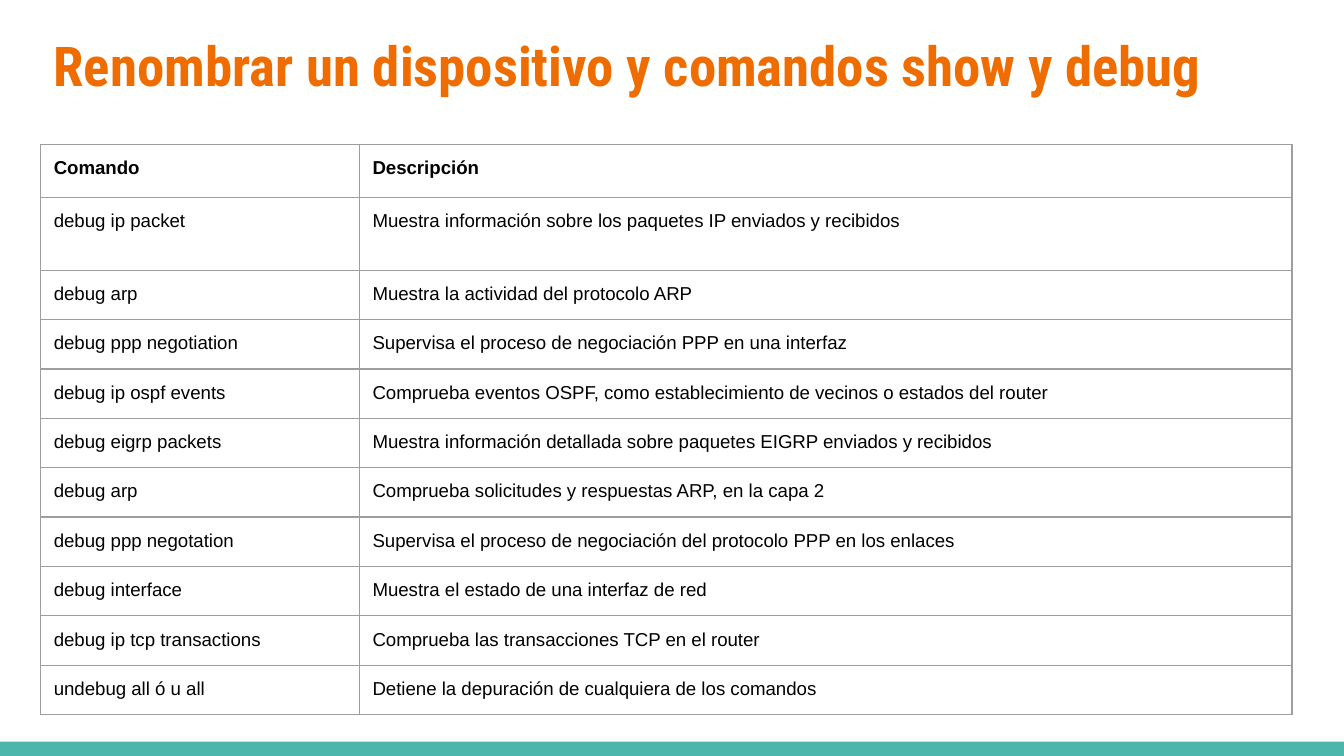
from lxml.etree import SubElement
from pptx import Presentation
from pptx.dml.color import RGBColor
from pptx.enum.shapes import MSO_SHAPE
from pptx.enum.text import MSO_ANCHOR
from pptx.oxml.ns import qn
from pptx.util import Pt

COLORS = {"title": "EF6C00", "footer": "4DB6AC", "text": "000000", "border": "9E9E9E"}
INSET = Pt(7.2)

COMMANDS = [
    ("Comando", "Descripción"),
    ("debug ip packet", "Muestra información sobre los paquetes IP enviados y recibidos"),
    ("debug arp", "Muestra la actividad del protocolo ARP"),
    ("debug ppp negotiation", "Supervisa el proceso de negociación PPP en una interfaz"),
    ("debug ip ospf events",
     "Comprueba eventos OSPF, como establecimiento de vecinos o estados del router"),
    ("debug eigrp packets",
     "Muestra información detallada sobre paquetes EIGRP enviados y recibidos"),
    ("debug arp", "Comprueba solicitudes y respuestas ARP, en la capa 2"),
    ("debug ppp negotation",
     "Supervisa el proceso de negociación del protocolo PPP en los enlaces"),
    ("debug interface", "Muestra el estado de una interfaz de red"),
    ("debug ip tcp transactions", "Comprueba las transacciones TCP en el router"),
    ("undebug all ó u all", "Detiene la depuración de cualquiera de los comandos"),
]


class SlideBuilder:
    """Holds the style and the current slide."""

    def __init__(self, slide, colors):
        self.slide = slide
        self.colors = colors

    def color(self, key):
        return RGBColor.from_string(self.colors[key])

    def style(self, paragraph, font_name, size, color, bold=False):
        font = paragraph.font
        font.name, font.size, font.bold = font_name, Pt(size), bold
        font.color.rgb = self.color(color)

    def bar(self, left, top, width, height, color):
        band = self.slide.shapes.add_shape(
            MSO_SHAPE.RECTANGLE, Pt(left), Pt(top), Pt(width), Pt(height))
        band.shadow.inherit = False
        band.fill.solid()
        band.fill.fore_color.rgb = self.color(color)
        band.line.fill.background()

    def title(self, text, left, top, width, height):
        frame = self.slide.shapes.add_textbox(
            Pt(left), Pt(top), Pt(width), Pt(height)).text_frame
        frame.word_wrap = True
        frame.vertical_anchor = MSO_ANCHOR.MIDDLE
        frame.margin_left = frame.margin_right = INSET
        frame.margin_top = frame.margin_bottom = INSET
        frame.text = text
        self.style(frame.paragraphs[0], "Roboto Condensed", 29.4, "title", bold=True)

    def borders(self, cell):
        properties = cell._tc.get_or_add_tcPr()
        for side in ("lnL", "lnR", "lnT", "lnB"):
            line = SubElement(properties, qn(f"a:{side}"), w=str(Pt(0.75)))
            fill = SubElement(line, qn("a:solidFill"))
            SubElement(fill, qn("a:srgbClr"), val=self.colors["border"])

    def table(self, rows, left, top, widths, heights):
        table = self.slide.shapes.add_table(
            len(rows), len(widths), Pt(left), Pt(top),
            Pt(sum(widths)), Pt(sum(heights))).table
        table.horz_banding = False
        for column, width in zip(table.columns, widths):
            column.width = Pt(width)
        for r, (texts, height) in enumerate(zip(rows, heights)):
            table.rows[r].height = Pt(height)
            for c, text in enumerate(texts):
                cell = table.cell(r, c)
                cell.margin_left = cell.margin_right = INSET
                cell.margin_top = cell.margin_bottom = INSET
                cell.text = text
                self.style(cell.text_frame.paragraphs[0], "Arial", 10, "text", bold=r == 0)
                # Borders come before the fill in the cell properties
                self.borders(cell)
                cell.fill.background()


def main():
    presentation = Presentation()
    presentation.slide_width, presentation.slide_height = Pt(720), Pt(405)
    slide = presentation.slides.add_slide(presentation.slide_layouts[6])
    builder = SlideBuilder(slide, COLORS)

    # Footer band
    builder.bar(0, 397.3, 720, 7.7, "footer")

    # Heading
    builder.title("Renombrar un dispositivo y comandos show y debug", 21.6, 7.2, 671, 54.7)

    # Command table: taller header and first command, then equal rows
    heights = [28.4, 39.1] + [25.7] * (len(COMMANDS) - 2)
    builder.table(COMMANDS, 21.6, 77.3, [170.8, 499.8], heights)

    presentation.save("out.pptx")


if __name__ == "__main__":
    main()
